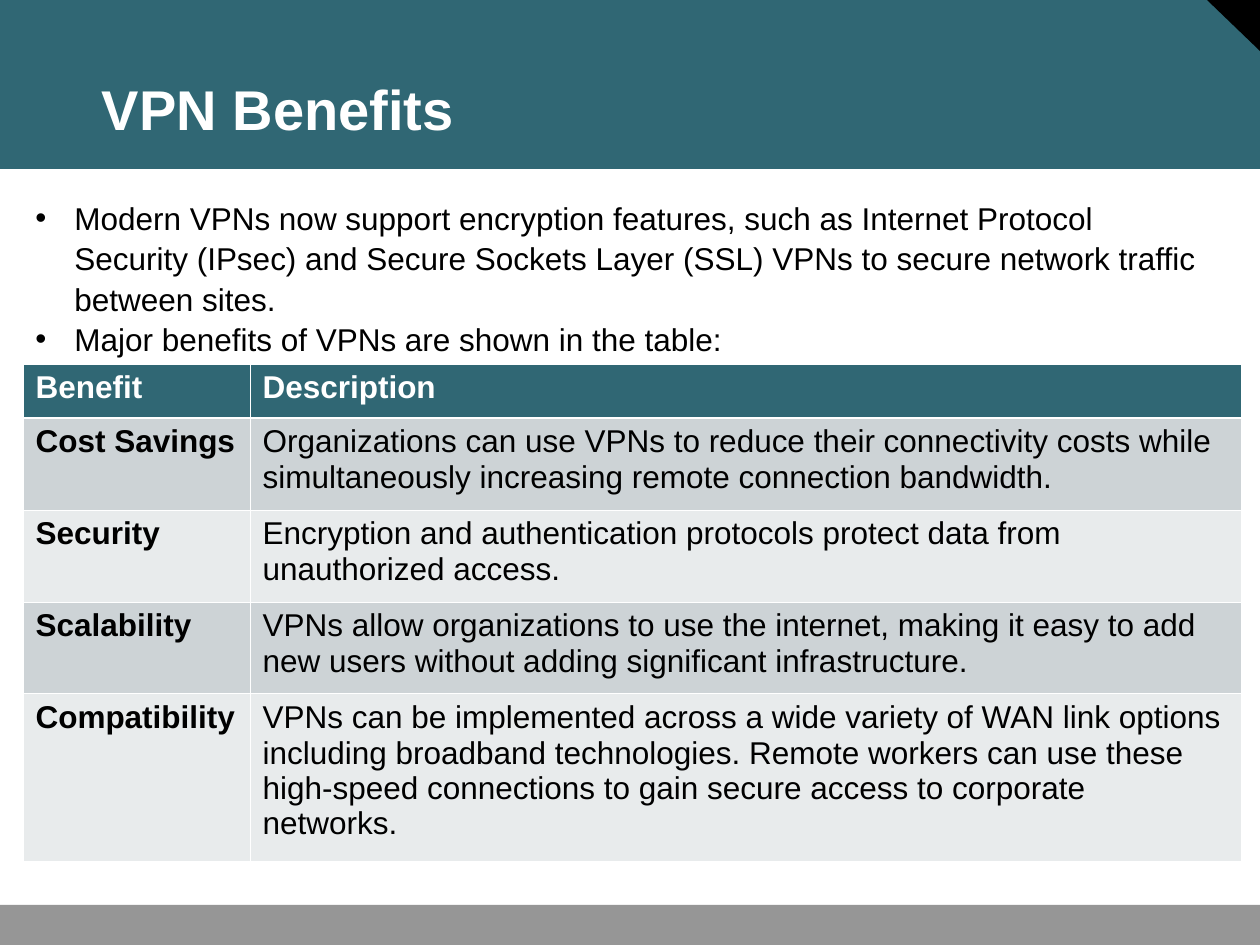
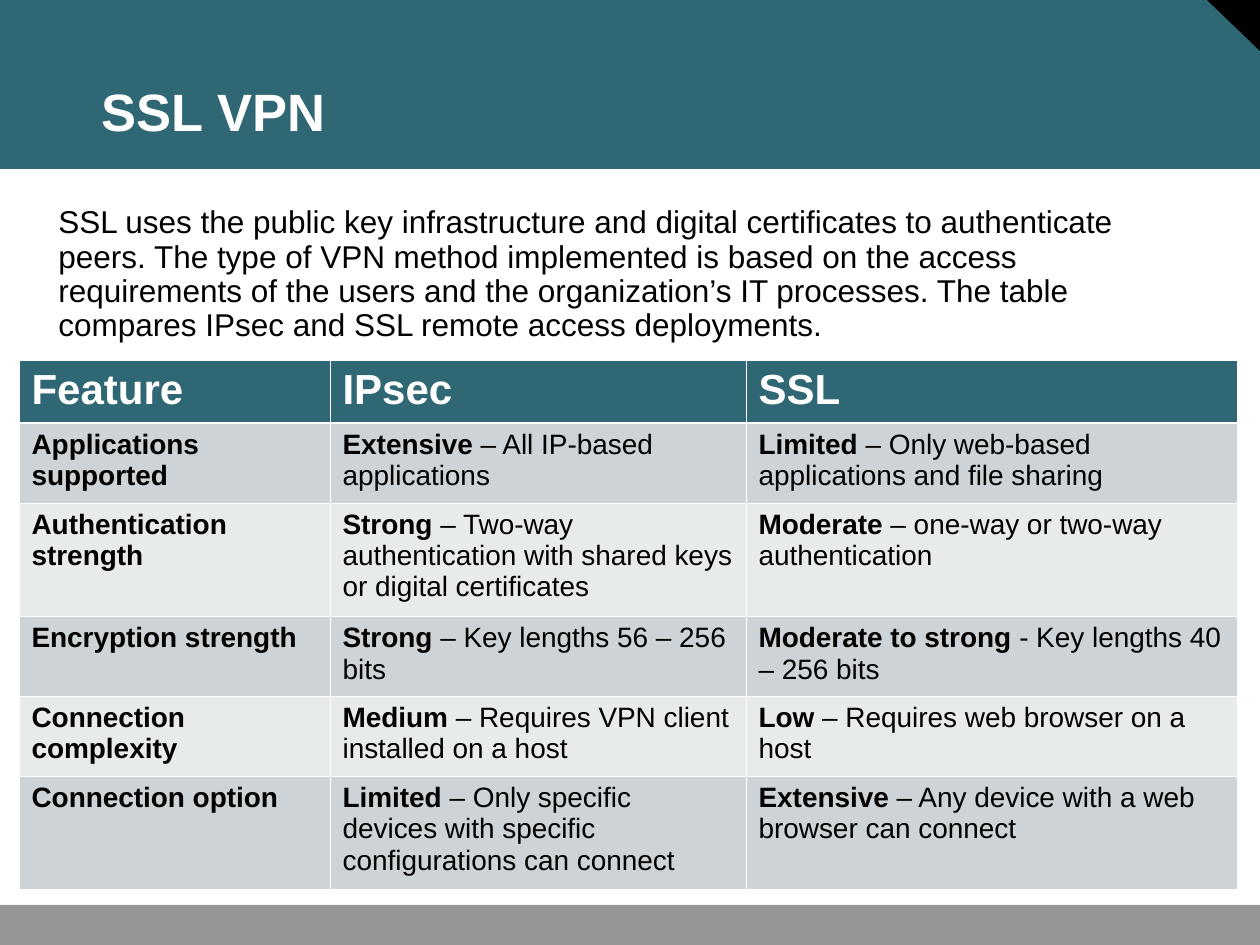
from dataclasses import dataclass

from lxml import etree
from pptx import Presentation, util as u
from pptx.dml import color
from pptx.enum import shapes, text
from pptx.oxml import ns

SCALE = 914400 / 126
FONT = "Arial"
TEAL, GRAY, BLACK, WHITE = "306774", "969696", "000000", "FFFFFF"
BANDS = ("CDD3D6", "E8EBEC")


@dataclass(frozen=True)
class Box:
    x: int
    y: int
    w: int
    h: int


@dataclass(frozen=True)
class Block:
    box: Box
    lines: tuple[str, ...]
    space: float
    dots: bool = False


@dataclass(frozen=True)
class Grid:
    x: int
    y: int
    cols: tuple[int, ...]
    rows: tuple[int, ...]
    head: int
    size: int
    cells: tuple[tuple[str, ...], ...]


@dataclass(frozen=True)
class Page:
    title: str
    size: int
    intro: Block
    grid: Grid


@dataclass(frozen=True)
class Panel:
    kind: shapes.MSO_SHAPE
    box: Box
    fill: str
    turn: int = 0


PANELS = (
    Panel(shapes.MSO_SHAPE.RECTANGLE, Box(0, 0, 1260, 169), TEAL),
    Panel(shapes.MSO_SHAPE.RIGHT_TRIANGLE, Box(1207, 0, 53, 51), BLACK, 180),
    Panel(shapes.MSO_SHAPE.RECTANGLE, Box(0, 905, 1260, 40), GRAY),
)

PAGES = (
    Page(
        "VPN Benefits", 32,
        Block(Box(23, 190, 1198, 164), (
            "Modern VPNs now support encryption features, such as Internet Protocol Security (IPsec) "
            "and Secure Sockets Layer (SSL) VPNs to secure network traffic between sites.",
            "Major benefits of VPNs are shown in the table:",
        ), 1.07, dots=True),
        Grid(23, 364, (227, 991), (54, 92, 92, 92, 168), 18, 18, (
            ("Benefit", "Description"),
            ("Cost Savings", "|Organizations can use VPNs to reduce their connectivity costs while "
             "simultaneously increasing remote connection bandwidth."),
            ("Security", "|Encryption and authentication protocols protect data from unauthorized access."),
            ("Scalability", "|VPNs allow organizations to use the internet, making it easy to add "
             "new users without adding significant infrastructure."),
            ("Compatibility", "|VPNs can be implemented across a wide variety of WAN link options "
             "including broadband technologies. Remote workers can use these high-speed connections "
             "to gain secure access to corporate networks."),
        )),
    ),
    Page(
        "SSL VPN", 30,
        Block(Box(46, 200, 1090, 149), (
            "SSL uses the public key infrastructure and digital certificates to authenticate peers. "
            "The type of VPN method implemented is based on the access requirements of the users and "
            "the organization’s IT processes. The table compares IPsec and SSL remote access deployments.",
        ), 0.91),
        Grid(19, 360, (311, 416, 491), (63, 80, 113, 80, 80, 113), 24, 16, (
            ("Feature", "IPsec", "SSL"),
            ("Applications supported", "Extensive| – All IP-based applications",
             "Limited| – Only web-based applications and file sharing"),
            ("Authentication strength",
             "Strong| – Two-way authentication with shared keys or digital certificates",
             "Moderate| – one-way or two-way authentication"),
            ("Encryption strength", "Strong| – Key lengths 56 – 256 bits",
             "Moderate to strong |- Key lengths 40 – 256 bits"),
            ("Connection complexity", "Medium| – Requires VPN client installed on a host",
             "Low| – Requires web browser on a host"),
            ("Connection option",
             "Limited| – Only specific devices with specific configurations can connect",
             "Extensive| – Any device with a web browser can connect"),
        )),
    ),
)


def px(n: int) -> u.Emu:
    return u.Emu(round(n * SCALE))


def place(box: Box) -> tuple[u.Emu, ...]:
    return px(box.x), px(box.y), px(box.w), px(box.h)


def rgb(code: str) -> color.RGBColor:
    return color.RGBColor.from_string(code)


def style(para, size: int, code: str) -> None:
    para.font.name = FONT
    para.font.size = u.Pt(size)
    para.font.color.rgb = rgb(code)


def add_panel(slide, layout, panel: Panel) -> None:
    shape = slide.shapes.add_shape(panel.kind, *place(panel.box))
    shape.shadow.inherit = False
    shape.fill.solid()
    shape.fill.fore_color.rgb = rgb(panel.fill)
    shape.line.fill.background()
    shape.rotation = panel.turn
    layout.shapes.element.append(shape.element)


def set_title(slide, page: Page) -> None:
    title = slide.shapes.title
    title.left, title.top, title.width, title.height = place(Box(91, 32, 1123, 116))
    frame = title.text_frame
    frame.text = page.title
    frame.auto_size = text.MSO_AUTO_SIZE.NONE
    frame.vertical_anchor = text.MSO_ANCHOR.BOTTOM
    frame.margin_left = frame.margin_right = px(11)
    frame.margin_top = frame.margin_bottom = px(5)
    para = frame.paragraphs[0]
    para.alignment = text.PP_ALIGN.LEFT
    para.line_spacing = 0.9
    style(para, page.size, WHITE)
    para.font.bold = True


def add_dot(para) -> None:
    props = para._p.get_or_add_pPr()
    props.set("marL", str(px(39)))
    props.set("indent", str(px(-39)))
    etree.SubElement(props, ns.qn("a:buFont"), typeface=FONT)
    etree.SubElement(props, ns.qn("a:buChar"), char="•")


def add_block(slide, block: Block) -> None:
    frame = slide.shapes.add_textbox(*place(block.box)).text_frame
    frame.word_wrap = True
    for i, line in enumerate(block.lines):
        para = frame.add_paragraph() if i else frame.paragraphs[0]
        para.text = line
        para.line_spacing = block.space
        if block.dots:
            add_dot(para)
        style(para, 18, BLACK)


def add_edges(cell, row: int) -> None:
    props = cell._tc.get_or_add_tcPr()
    thick = {0: "lnB", 1: "lnT"}.get(row)
    for i, side in enumerate(("lnL", "lnR", "lnT", "lnB")):
        width = u.Pt(1.5 if side == thick else 0.5)
        edge = etree.Element(ns.qn(f"a:{side}"), w=str(width))
        fill = etree.SubElement(edge, ns.qn("a:solidFill"))
        etree.SubElement(fill, ns.qn("a:srgbClr"), val=WHITE)
        props.insert(i, edge)


def fill_cell(cell, words: str, row: int, grid: Grid) -> None:
    cell.fill.solid()
    cell.fill.fore_color.rgb = rgb(BANDS[(row - 1) % 2] if row else TEAL)
    add_edges(cell, row)
    para = cell.text_frame.paragraphs[0]
    for part, bold in zip(words.split("|"), (True, False)):
        if part:
            run = para.add_run()
            run.text = part
            run.font.bold = bold
    style(para, grid.size if row else grid.head, BLACK if row else WHITE)


def add_grid(slide, grid: Grid) -> None:
    box = Box(grid.x, grid.y, sum(grid.cols), sum(grid.rows))
    table = slide.shapes.add_table(len(grid.rows), len(grid.cols), *place(box)).table
    for col, width in zip(table.columns, grid.cols):
        col.width = px(width)
    for r, (row, height) in enumerate(zip(table.rows, grid.rows)):
        row.height = px(height)
        for cell, words in zip(row.cells, grid.cells[r]):
            fill_cell(cell, words, r, grid)


def main() -> None:
    deck = Presentation()
    deck.slide_width, deck.slide_height = px(1260), px(945)
    layout = deck.slide_layouts.get_by_name("Title Only")
    for holder in list(layout.placeholders)[1:]:
        layout.shapes.element.remove(holder.element)
    slides = [deck.slides.add_slide(layout) for _ in PAGES]
    for panel in PANELS:
        add_panel(slides[0], layout, panel)
    for slide, page in zip(slides, PAGES):
        set_title(slide, page)
        add_block(slide, page.intro)
        add_grid(slide, page.grid)
    deck.save("out.pptx")


if __name__ == "__main__":
    main()
